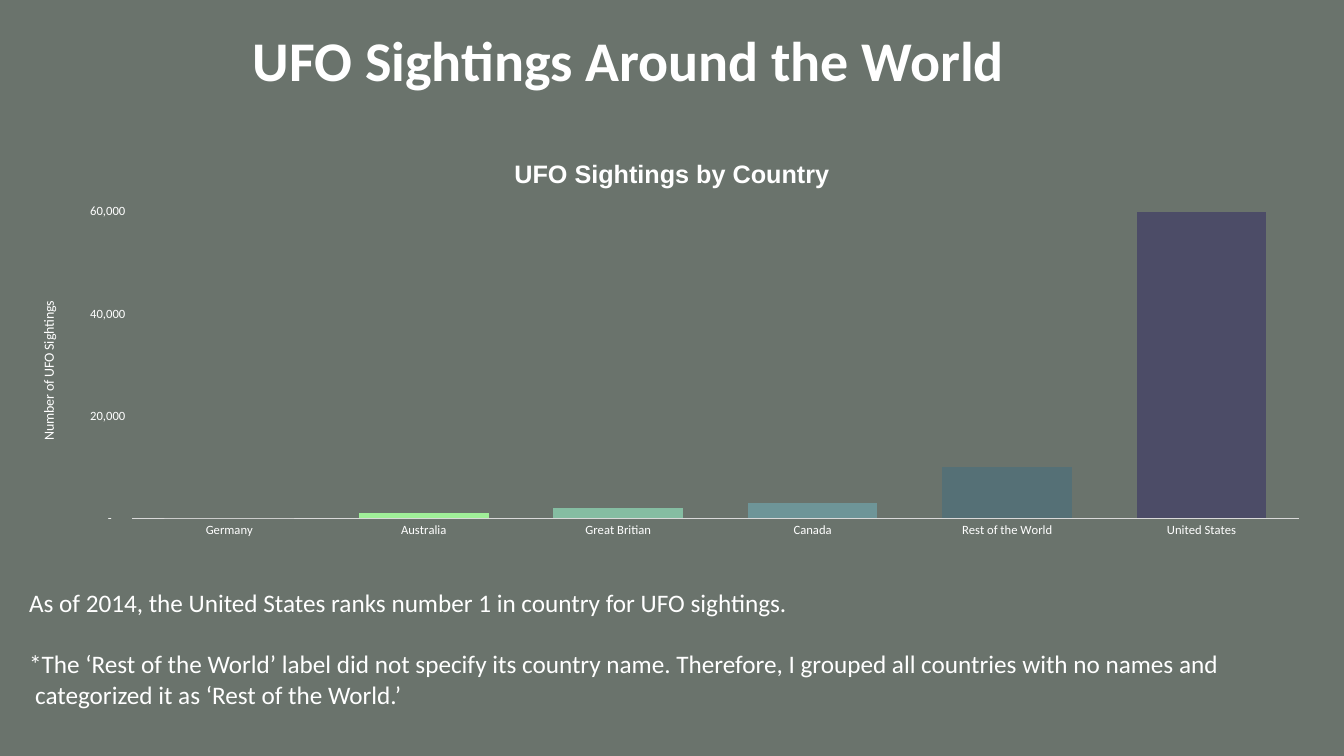
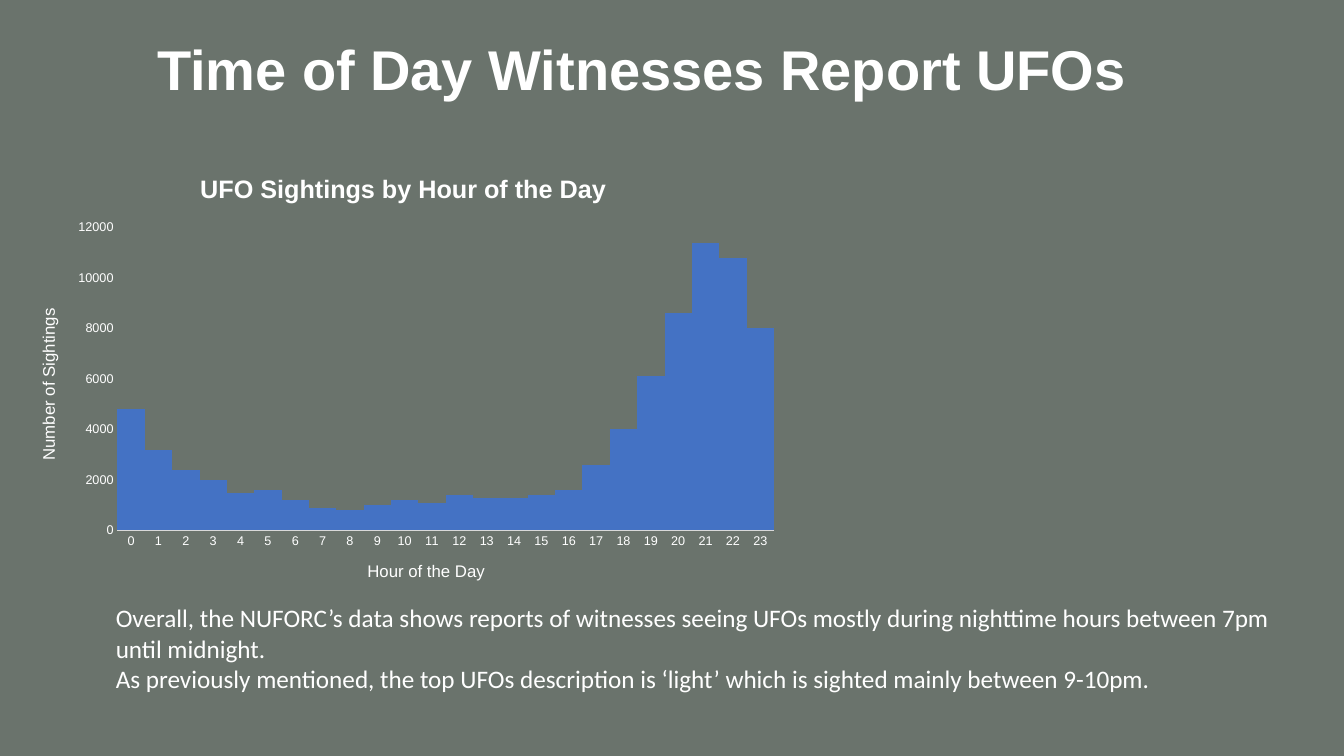
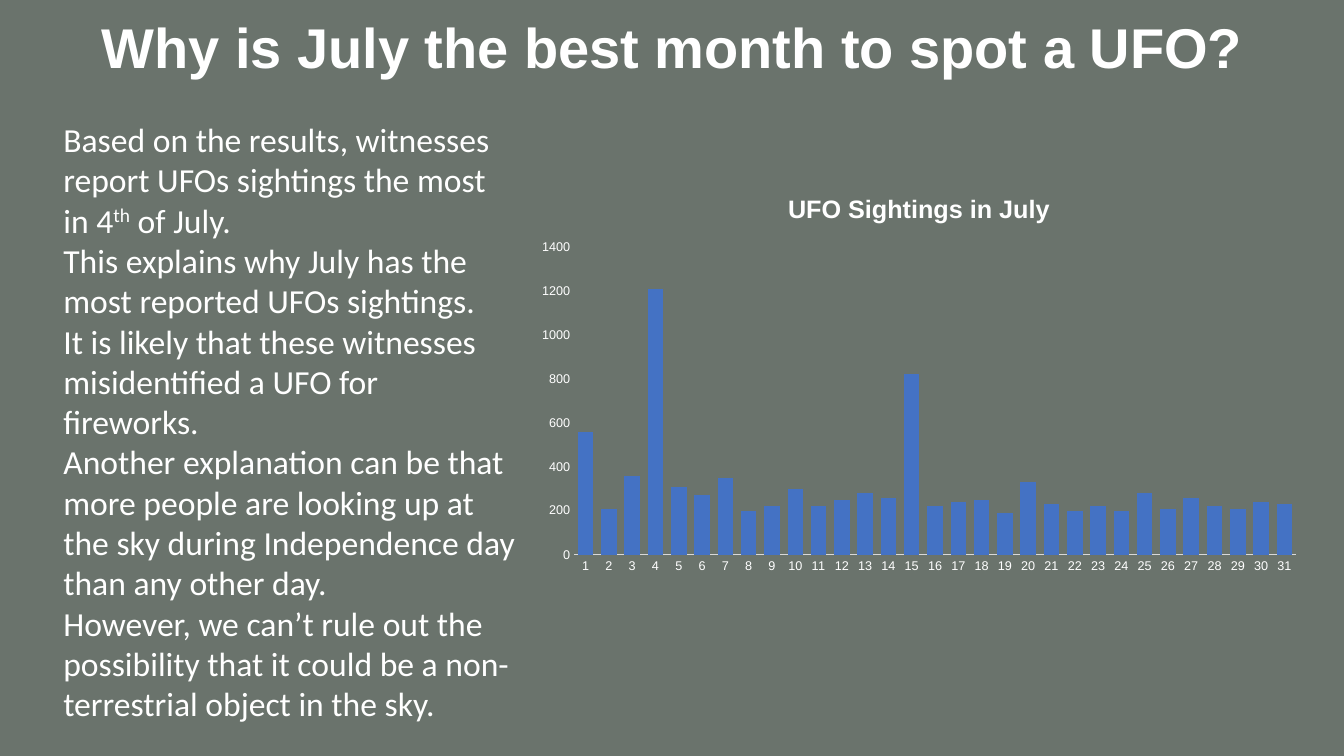
"""Build three slides of charts and notes about UFO sightings."""
from dataclasses import dataclass

from pptx import Presentation
from pptx.chart.data import CategoryChartData
from pptx.dml.color import RGBColor
from pptx.enum.chart import XL_CHART_TYPE, XL_TICK_MARK
from pptx.enum.text import PP_ALIGN
from pptx.util import Inches, Pt


@dataclass(frozen=True)
class Theme:
    background: str = "6A736C"
    text: str = "FFFFFF"
    axis: str = "D9D9D9"
    bar: str = "4472C4"
    body_font: str = "Calibri"
    heading_font: str = "Arial"
    title_size: int = 40
    body_size: int = 18
    large_body_size: int = 24
    chart_title_size: int = 18
    axis_title_size: int = 12
    small_axis_title_size: int = 10
    label_size: int = 9


THEME = Theme()
COUNTRY_COLORS = (THEME.background, "9FEE98", "85BDA2", "6E9598", "557076", "4C4C67")
COUNTRIES = {
    "Germany": 0,
    "Australia": 1000,
    "Great Britian": 2000,
    "Canada": 3000,
    "Rest of the World": 10000,
    "United States": 65000,
}
HOURLY = (
    4800, 3200, 2400, 2000, 1500, 1600, 1200, 900, 800, 1000, 1200, 1100,
    1400, 1300, 1300, 1400, 1600, 2600, 4000, 6100, 8600, 11400, 10800, 8000,
)
JULY = (
    560, 210, 360, 1210, 310, 270, 350, 200, 220, 300, 220, 250, 280, 260, 820, 220,
    240, 250, 190, 330, 230, 200, 220, 200, 280, 210, 260, 220, 210, 240, 230,
)
THOUSANDS = r'_(* #,##0_);_(* \(#,##0\);_(* "-"??_);_(@_)'


class Deck:
    def __init__(self, theme):
        self.theme = theme
        self.presentation = Presentation()
        self.presentation.slide_width = Inches(13.33)
        self.presentation.slide_height = Inches(7.5)
        self.slide = None

    def add_slide(self):
        layout = self.presentation.slide_layouts[6]
        self.slide = self.presentation.slides.add_slide(layout)
        fill = self.slide.background.fill
        fill.solid()
        fill.fore_color.rgb = RGBColor.from_string(self.theme.background)

    def style(self, font, size, name, bold=False):
        font.size = Pt(size)
        font.name = name
        font.bold = bold
        font.color.rgb = RGBColor.from_string(self.theme.text)

    def add_text(self, box, paragraphs, size, name=THEME.body_font, bold=False,
                 alignment=PP_ALIGN.LEFT, gap=0):
        shape = self.slide.shapes.add_textbox(*map(Inches, box))
        frame = shape.text_frame
        frame.word_wrap = True
        for index, runs in enumerate(paragraphs):
            paragraph = frame.add_paragraph() if index else frame.paragraphs[0]
            paragraph.alignment = alignment
            paragraph.space_before = Pt(gap if index else 0)
            for text in runs:
                run = paragraph.add_run()
                run.text = text
                self.style(run.font, size, name, bold)
        return frame

    def add_title(self, box, text, name=THEME.heading_font, alignment=PP_ALIGN.LEFT):
        self.add_text(box, [[text]], self.theme.title_size, name, True, alignment)

    def set_chart_text(self, frame, text, size, name, bold=False):
        run = frame.paragraphs[0].add_run()
        run.text = text
        self.style(run.font, size, name, bold)

    def add_chart(self, box, title, categories, values, gap=50, overlap=-27,
                  name=THEME.heading_font):
        data = CategoryChartData()
        data.categories = [str(category) for category in categories]
        data.add_series("Series 1", values)
        chart = self.slide.shapes.add_chart(
            XL_CHART_TYPE.COLUMN_CLUSTERED, *map(Inches, box), data).chart
        self.style(chart.font, self.theme.label_size, name)
        chart.has_legend = False
        chart.has_title = True
        chart.chart_title.include_in_layout = False
        self.set_chart_text(chart.chart_title.text_frame, title,
                            self.theme.chart_title_size, self.theme.heading_font, True)
        for axis in (chart.category_axis, chart.value_axis):
            axis.has_major_gridlines = False
            axis.major_tick_mark = XL_TICK_MARK.NONE
            axis.minor_tick_mark = XL_TICK_MARK.NONE
            self.style(axis.tick_labels.font, self.theme.label_size, name)
        line = chart.category_axis.format.line
        line.color.rgb = RGBColor.from_string(self.theme.axis)
        line.width = Pt(0.75)
        chart.value_axis.format.line.fill.background()
        chart.value_axis.minimum_scale = 0
        plot = chart.plots[0]
        plot.vary_by_categories = False
        plot.gap_width = gap
        plot.overlap = overlap
        self.fill_bar(plot.series[0], self.theme.bar)
        return chart

    def fill_bar(self, bar, color):
        bar.format.fill.solid()
        bar.format.fill.fore_color.rgb = RGBColor.from_string(color)

    def add_axis_title(self, axis, text, size, name):
        axis.has_title = True
        self.set_chart_text(axis.axis_title.text_frame, text, size, name)


def add_country_slide(deck):
    theme = deck.theme
    deck.add_slide()
    chart = deck.add_chart((0.19, 1.38, 12.95, 4.03), "UFO Sightings by Country",
                           COUNTRIES, COUNTRIES.values(), name=theme.body_font)
    axis = chart.value_axis
    axis.maximum_scale = 60000
    axis.major_unit = 20000
    axis.tick_labels.number_format = THOUSANDS
    axis.tick_labels.number_format_is_linked = False
    deck.add_axis_title(axis, "Number of UFO Sightings",
                        theme.small_axis_title_size, theme.body_font)
    series = chart.plots[0].series[0]
    for index, color in enumerate(COUNTRY_COLORS):
        deck.fill_bar(series.points[index], color)
    frame = deck.add_text((0.19, 5.78, 12.37, 1.62), [
        ["As of 2014, the United States ranks number 1 in country for UFO sightings."],
        ["*The ‘Rest of the World’ label did not specify its country name. Therefore, "
         "I grouped all countries with no names and categorized it as "
         "‘Rest of the World.’"],
    ], theme.body_size, gap=22)
    properties = frame.paragraphs[1]._p.get_or_add_pPr()
    properties.set("marL", str(Inches(0.06)))
    properties.set("indent", str(-Inches(0.06)))
    deck.add_title((2.41, 0.2, 8.5, 0.77), "UFO Sightings Around the World",
                   theme.body_font)


def add_hour_slide(deck):
    theme = deck.theme
    deck.add_slide()
    chart = deck.add_chart((0.17, 1.52, 7.66, 4.46), "UFO Sightings by Hour of the Day",
                           range(24), HOURLY, gap=0, overlap=0)
    chart.value_axis.maximum_scale = 12000
    for axis, text in ((chart.category_axis, "Hour of the Day"),
                       (chart.value_axis, "Number of Sightings")):
        deck.add_axis_title(axis, text, theme.axis_title_size, theme.heading_font)
    deck.add_title((1.46, 0.29, 10.4, 0.77), "Time of Day Witnesses Report UFOs")
    deck.add_text((1.05, 5.93, 12.03, 1.01), [
        ["Overall, the NUFORC’s data shows reports of witnesses seeing UFOs mostly "
         "during nighttime hours between 7pm until midnight."],
        ["As previously mentioned, the top UFOs description is ‘light’ which is "
         "sighted mainly between 9-10pm."],
    ], theme.body_size)


def add_july_slide(deck):
    deck.add_slide()
    deck.add_title((0.9, 0.08, 11.53, 0.77), "Why is July the best month to spot a UFO?",
                   alignment=PP_ALIGN.CENTER)
    deck.add_chart((5.22, 1.73, 7.79, 4.04), "UFO Sightings in July", range(1, 32), JULY)
    frame = deck.add_text((0.53, 1.13, 4.69, 6.16), [
        ["Based on the results, witnesses report UFOs sightings the most in 4",
         "th", " of July."],
        ["This explains why July has the most reported UFOs sightings."],
        ["It is likely that these witnesses misidentified a UFO for fireworks."],
        ["Another explanation can be that more people are looking up at the sky "
         "during Independence day than any other day."],
        ["However, we can’t rule out the possibility that it could be a "
         "non-terrestrial object in the sky."],
    ], deck.theme.large_body_size)
    ordinal = frame.paragraphs[0].runs[1]
    ordinal._r.get_or_add_rPr().set("baseline", "30000")


def main():
    deck = Deck(THEME)
    add_country_slide(deck)
    add_hour_slide(deck)
    add_july_slide(deck)
    deck.presentation.save("out.pptx")


if __name__ == "__main__":
    main()
